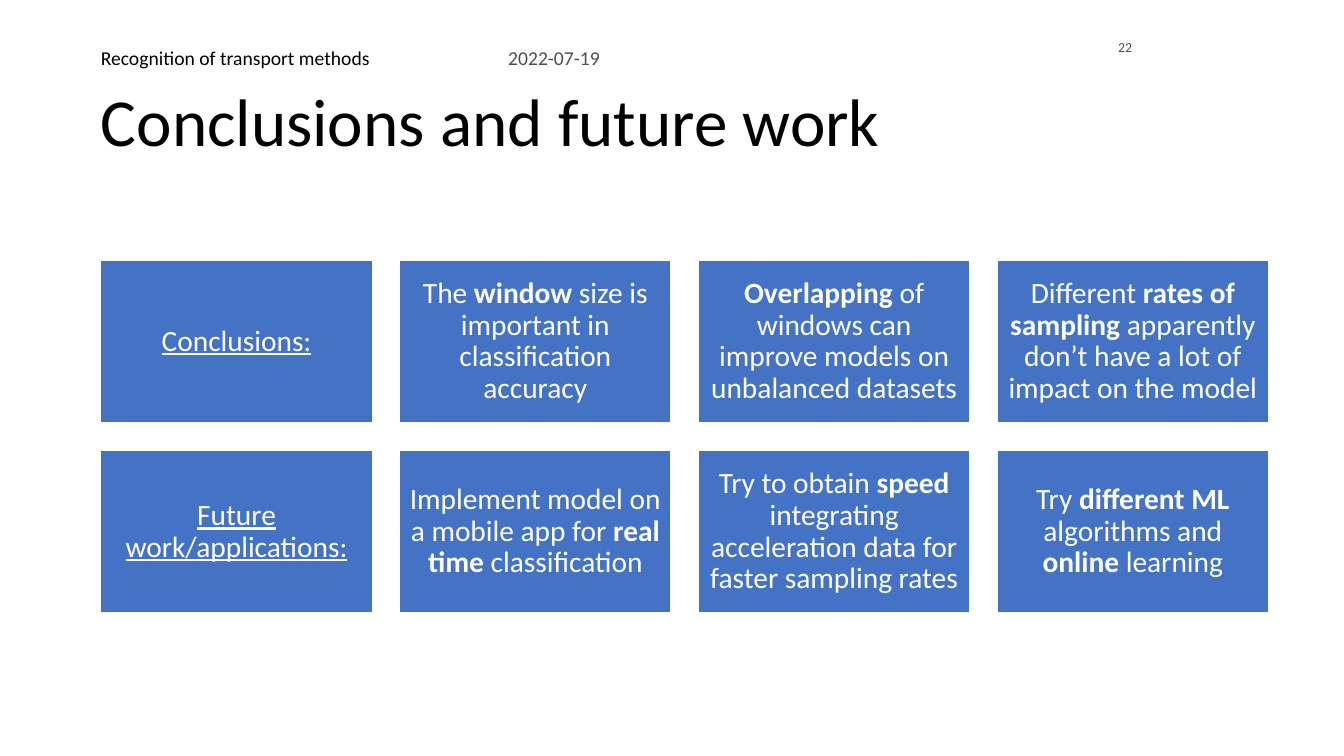
from lxml import etree
from pptx import Presentation
from pptx.dml.color import RGBColor
from pptx.enum.shapes import MSO_SHAPE
from pptx.enum.text import MSO_ANCHOR, PP_ALIGN
from pptx.oxml.ns import qn
from pptx.util import Pt

RECT = MSO_SHAPE.RECTANGLE
TOP, MIDDLE, BOTTOM = MSO_ANCHOR.TOP, MSO_ANCHOR.MIDDLE, MSO_ANCHOR.BOTTOM
LEFT, CENTER, RIGHT = PP_ALIGN.LEFT, PP_ALIGN.CENTER, PP_ALIGN.RIGHT

FONT = "Calibri"
COLORS = {"text": "000000", "muted": "4D4D4D", "card": "4472C4", "white": "FFFFFF"}

# Card grid
MARGIN, GRID_TOP = 72, 185.8
CARD_W, CARD_H, GAP = 194, 116.4, 19.4

# Each card is a list of text pieces; every second piece is bold
ROWS = [
    ("Conclusions:", [
        ["The ", "window", " size is important in classification accuracy"],
        ["", "Overlapping", " of windows can improve models on unbalanced datasets"],
        ["Different ", "rates of sampling",
         " apparently don’t have a lot of impact on the model"],
    ]),
    ("Future work/applications:", [
        ["Implement model on a mobile app for ", "real time ", "classification"],
        ["Try to obtain ", "speed",
         " integrating acceleration data for faster sampling rates"],
        ["Try ", "different ML ", "algorithms and ", "online", " learning"],
    ]),
]


def rgb(name):
    return RGBColor.from_string(COLORS[name])


def set_frame(tf, inset_x, inset_y, anchor):
    tf.word_wrap = True
    tf.margin_left = tf.margin_right = Pt(inset_x)
    tf.margin_top = tf.margin_bottom = Pt(inset_y)
    tf.vertical_anchor = anchor


def set_font(font, size, color=None):
    font.name = FONT
    font.size = Pt(size)
    if color:
        font.color.rgb = rgb(color)


def add_text(s, box, text, size, color, align=LEFT, inset_x=0, inset_y=0):
    tf = s.shapes.add_textbox(*map(Pt, box)).text_frame
    set_frame(tf, inset_x, inset_y, TOP)
    p = tf.paragraphs[0]
    p.text = text
    p.alignment = align
    set_font(p.font, size, color)


def add_header(s, box, topic, date, date_pos):
    tf = s.shapes.add_textbox(*map(Pt, box)).text_frame
    set_frame(tf, 0, 0, BOTTOM)
    p = tf.paragraphs[0]
    tabs = etree.SubElement(p._p.get_or_add_pPr(), qn("a:tabLst"))
    etree.SubElement(tabs, qn("a:tab"), pos=str(Pt(date_pos)), algn="l")
    set_font(p.font, 14)
    for text, color in ((topic, "text"), ("\t" + date, "muted")):
        r = p.add_run()
        r.text = text
        r.font.color.rgb = rgb(color)


def add_card(s, row, col, pieces, underline=False):
    x = MARGIN + col * (CARD_W + GAP)
    y = GRID_TOP + row * (CARD_H + GAP)
    sp = s.shapes.add_shape(RECT, Pt(x), Pt(y), Pt(CARD_W), Pt(CARD_H))
    sp.shadow.inherit = False
    sp.fill.solid()
    sp.fill.fore_color.rgb = rgb("card")
    sp.line.color.rgb = rgb("white")
    sp.line.width = Pt(1)
    set_frame(sp.text_frame, 6.5, 6.5, MIDDLE)
    p = sp.text_frame.paragraphs[0]
    p.alignment = CENTER
    p.line_spacing = 0.9
    set_font(p.font, 21, "white")
    if underline:
        p.font.underline = True
    for i, text in enumerate(pieces):
        if text:
            r = p.add_run()
            r.text = text
            if i % 2:
                r.font.bold = True


def main():
    prs = Presentation()
    prs.slide_width, prs.slide_height = Pt(960), Pt(540)
    s = prs.slides.add_slide(prs.slide_layouts[6])

    # Header, page number and title
    add_header(s, (MARGIN, 31, 500, 18.7), "Recognition of transport methods",
               "2022-07-19", 291)
    add_text(s, (782, 24.5, 31.7, 18.7), "22", 9.8, "muted", RIGHT, 5, 3)
    add_text(s, (MARGIN, 57, 834.5, 64), "Conclusions and future work", 48, "text")

    # Rows of cards, each led by its heading
    for row, (heading, cards) in enumerate(ROWS):
        add_card(s, row, 0, [heading], underline=True)
        for col, pieces in enumerate(cards, start=1):
            add_card(s, row, col, pieces)

    prs.save("out.pptx")


if __name__ == "__main__":
    main()
